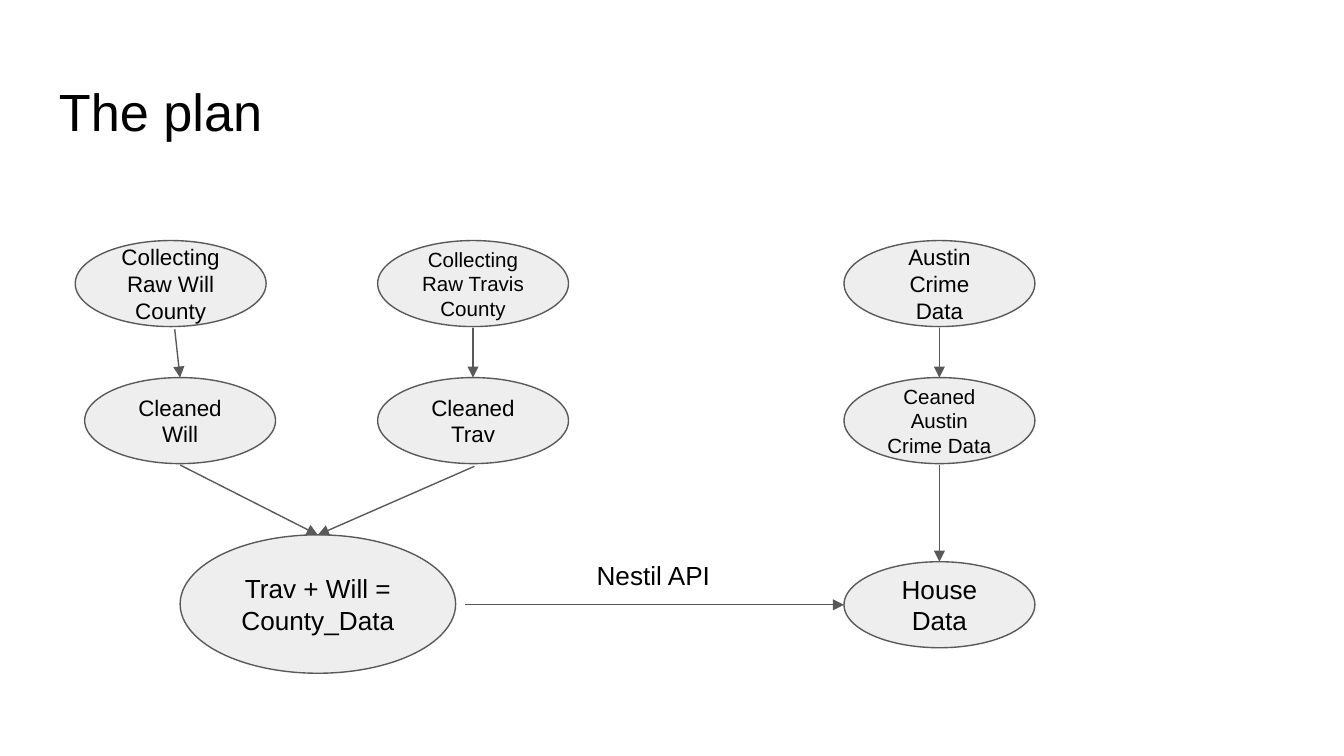
from typing import NamedTuple, Optional

from lxml.etree import SubElement
from pptx import Presentation
from pptx.dml.color import RGBColor
from pptx.enum.shapes import MSO_CONNECTOR as Connector, MSO_SHAPE as Shape
from pptx.enum.text import MSO_ANCHOR as Anchor, PP_ALIGN as Align
from pptx.oxml.ns import qn
from pptx.util import Inches, Pt

BLACK = RGBColor(0x00, 0x00, 0x00)
GREY = RGBColor(0x59, 0x59, 0x59)
PALE = RGBColor(0xEE, 0xEE, 0xEE)

SLIDE_WIDTH = Inches(10)
SLIDE_HEIGHT = SLIDE_WIDTH * 9 // 16

WILL, TRAVIS, CRIME = 0.56, 2.81, 6.28
RAW, CLEANED, HOUSE = 1.79, 2.81, 4.18
TOP_SITE = 0


class Node(NamedTuple):
    lines: list[str]
    left: float
    top: float
    size: int = 12
    width: float = 1.42
    height: float = 0.64


class Arrow(NamedTuple):
    start: tuple[float, float]
    end: tuple[float, float]
    target: Optional[str] = None


NODES = {
    "raw_will": Node(["Collecting Raw Will County"], WILL, RAW),
    "raw_travis": Node(["Collecting Raw Travis County"], TRAVIS, RAW, 11),
    "raw_crime": Node(["Austin Crime Data"], CRIME, RAW),
    "will": Node(["Cleaned Will"], 0.63, CLEANED),
    "travis": Node(["Cleaned Trav"], TRAVIS, CLEANED),
    "crime": Node(["Ceaned", "Austin Crime Data"], CRIME, CLEANED, 11),
    "county": Node(["Trav + Will = County_Data"], 1.34, 3.98, 14, 2.05, 1.03),
    "house": Node(["House Data"], CRIME, HOUSE, 14),
}

ARROWS = [
    Arrow((1.3, 2.45), (1.34, 2.81), "will"),
    Arrow((3.52, 2.44), (3.52, 2.81), "travis"),
    Arrow((6.99, 2.44), (6.99, 2.81), "crime"),
    Arrow((1.34, 3.46), (2.37, 3.98), "county"),
    Arrow((3.53, 3.47), (2.37, 3.98), "county"),
    Arrow((6.99, 3.46), (6.99, 4.18), "house"),
    Arrow((3.46, 4.5), (6.28, 4.5)),
]


def write(shape, lines: list[str], size: int, align, anchor) -> None:
    frame = shape.text_frame
    margins = dict.fromkeys(
        ("margin_left", "margin_top", "margin_right", "margin_bottom"), Inches(0.1)
    )
    for name, value in {"word_wrap": True, "vertical_anchor": anchor, **margins}.items():
        setattr(frame, name, value)
    frame.text = "\n".join(lines)
    for para in frame.paragraphs:
        para.alignment = align
        for span in para.runs:
            for name, value in {"name": "Arial", "size": Pt(size)}.items():
                setattr(span.font, name, value)
            span.font.color.rgb = BLACK


def add_label(page, words: str, box: tuple[float, ...], size: int) -> None:
    label = page.shapes.add_textbox(*map(Inches, box))
    write(label, [words], size, Align.LEFT, Anchor.TOP)


def style_line(line) -> None:
    line.color.rgb = GREY
    line.width = Pt(0.75)


def add_node(page, node: Node):
    box = map(Inches, (node.left, node.top, node.width, node.height))
    oval = page.shapes.add_shape(Shape.FLOWCHART_CONNECTOR, *box)
    oval.shadow.inherit = False
    oval.fill.solid()
    oval.fill.fore_color.rgb = PALE
    style_line(oval.line)
    write(oval, node.lines, node.size, Align.CENTER, Anchor.MIDDLE)
    return oval


def add_arrow(page, arrow: Arrow, ovals: dict) -> None:
    ends = map(Inches, arrow.start + arrow.end)
    link = page.shapes.add_connector(Connector.STRAIGHT, *ends)
    if arrow.target:
        link.end_connect(ovals[arrow.target], TOP_SITE)
    style_line(link.line)
    SubElement(link.line._get_or_add_ln(), qn("a:tailEnd"), type="triangle")
    SubElement(link._element.spPr, qn("a:effectLst"))


def main() -> None:
    deck = Presentation()
    deck.slide_width, deck.slide_height = SLIDE_WIDTH, SLIDE_HEIGHT
    page = deck.slides.add_slide(deck.slide_layouts[6])
    add_label(page, "The plan", (0.34, 0.49, 9.32, 0.63), 28)
    ovals = {name: add_node(page, node) for name, node in NODES.items()}
    add_label(page, "Nestil API", (4.34, 4.06, 1.32, 0.35), 14)
    for arrow in ARROWS:
        add_arrow(page, arrow, ovals)
    deck.save("out.pptx")


if __name__ == "__main__":
    main()
